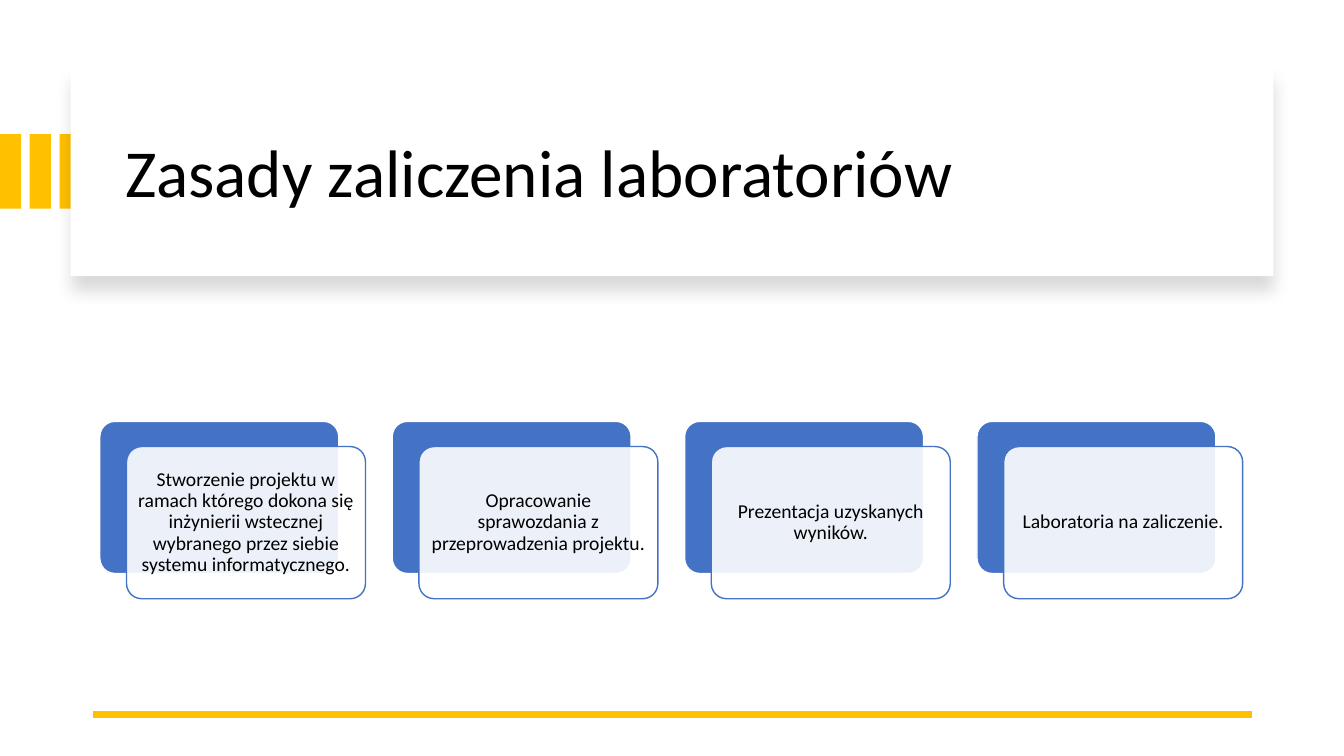
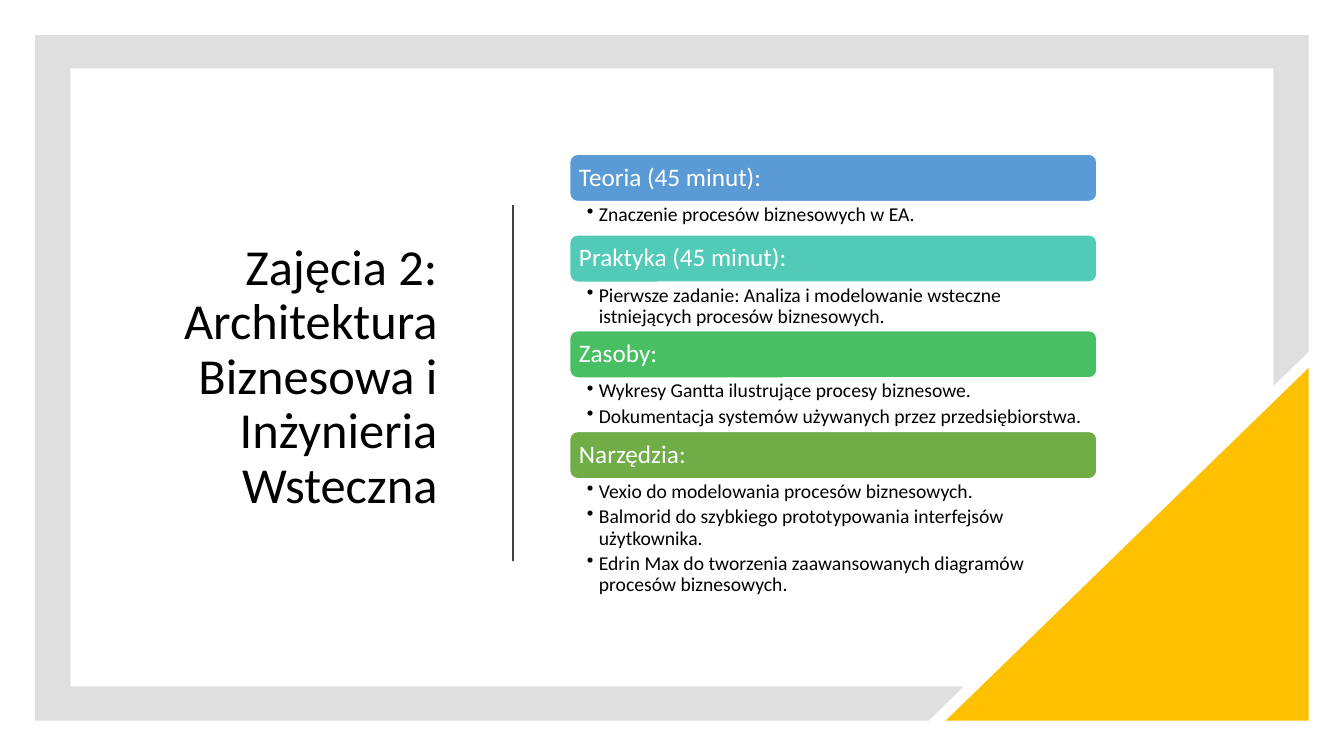
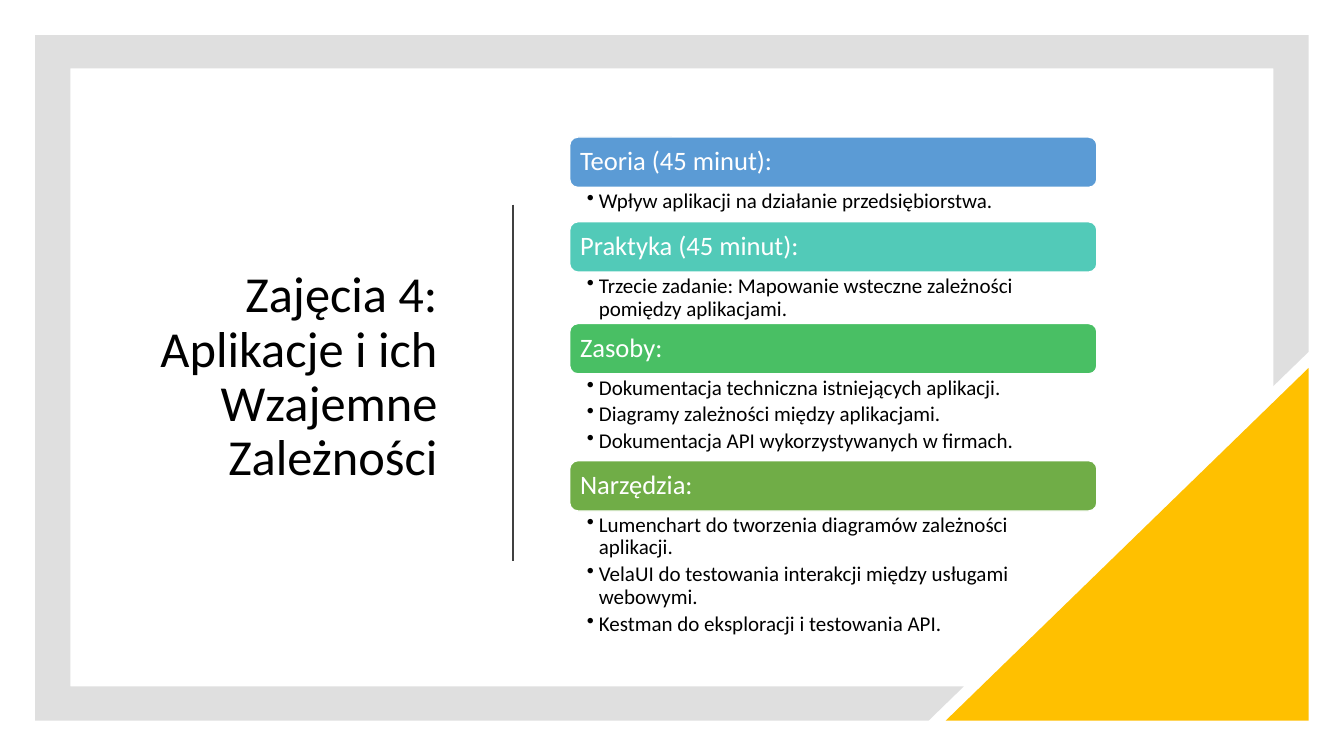
"""Build three course slides: grading rules and two class plans."""
from lxml import etree
from pptx import Presentation
from pptx.dml.color import RGBColor
from pptx.enum import shapes as kinds, text as modes
from pptx.oxml import ns
from pptx.util import Inches, Pt

FONT = "Calibri"
BLACK, WHITE, GOLD, BLUE = "000000", "FFFFFF", "FFC000", "4472C4"
GRAY, DARK = "808080", "404040"
HEADS = ["Teoria (45 minut):", "Praktyka (45 minut):", "Zasoby:", "Narzędzia:"]
TINTS = ["5B9BD5", "52CAB8", "49BF64", "70AD47"]
FRAME = [(0.35, 0.35), (12.98, 0.35), (12.98, 3.49), (12.63, 3.83), (12.63, 0.68),
         (0.7, 0.68), (0.7, 6.81), (9.56, 6.81), (9.21, 7.15), (0.35, 7.15)]
LEFT, RIGHT, MID = modes.PP_ALIGN.LEFT, modes.PP_ALIGN.RIGHT, modes.PP_ALIGN.CENTER
BOX, ROUND = kinds.MSO_SHAPE.RECTANGLE, kinds.MSO_SHAPE.ROUNDED_RECTANGLE

RULES = [
    "Stworzenie projektu w ramach którego dokona się inżynierii wstecznej "
    "wybranego przez siebie systemu informatycznego.",
    "Opracowanie sprawozdania z przeprowadzenia projektu.",
    "Prezentacja uzyskanych wyników.",
    "Laboratoria na zaliczenie.",
]
PLANS = [
    dict(title="Zajęcia 2: Architektura Biznesowa i Inżynieria Wsteczna",
         top=1.53, bar=0.47, sizes=(18, 14), pads=(0.07, 0.14),
         parts=[
             (0.33, ["Znaczenie procesów biznesowych w EA."]),
             (0.48, ["Pierwsze zadanie: Analiza i modelowanie wsteczne "
                     "istniejących procesów biznesowych."]),
             (0.53, ["Wykresy Gantta ilustrujące procesy biznesowe.",
                     "Dokumentacja systemów używanych przez przedsiębiorstwa."]),
             (1.22, ["Vexio do modelowania procesów biznesowych.",
                     "Balmorid do szybkiego prototypowania interfejsów użytkownika.",
                     "Edrin Max do tworzenia zaawansowanych diagramów "
                     "procesów biznesowych."])]),
    dict(title="Zajęcia 4: Aplikacje i ich Wzajemne Zależności",
         top=1.36, bar=0.5, sizes=(19, 15), pads=(0.08, 0.15),
         parts=[
             (0.34, ["Wpływ aplikacji na działanie przedsiębiorstwa."]),
             (0.51, ["Trzecie zadanie: Mapowanie wsteczne zależności "
                     "pomiędzy aplikacjami."]),
             (0.86, ["Dokumentacja techniczna istniejących aplikacji.",
                     "Diagramy zależności między aplikacjami.",
                     "Dokumentacja API wykorzystywanych w firmach."]),
             (1.08, ["Lumenchart do tworzenia diagramów zależności aplikacji.",
                     "VelaUI do testowania interakcji między usługami webowymi.",
                     "Kestman do eksploracji i testowania API."])]),
]


def rgb(code):
    """Turn a hex string into a colour."""
    return RGBColor.from_string(code)


def sub(node, tag, **attrs):
    """Append a drawing element with attributes."""
    return etree.SubElement(node, ns.qn(tag), {k: str(v) for k, v in attrs.items()})


def paint(shape, fill, line=None, alpha=None):
    """Set fill, outline and opacity, and drop the shadow."""
    shape.shadow.inherit = False
    shape.fill.solid()
    shape.fill.fore_color.rgb = rgb(fill)
    if alpha:
        tint = shape._element.spPr.find(".//" + ns.qn("a:srgbClr"))
        sub(tint, "a:alpha", val=alpha * 1000)
    if line:
        shape.line.color.rgb = rgb(line)
        shape.line.width = Pt(1)
    else:
        shape.line.fill.background()


def block(slide, kind, box, fill, line=None, alpha=None, adj=None):
    """Add a painted preset shape."""
    shape = slide.shapes.add_shape(kind, *map(Inches, box))
    paint(shape, fill, line, alpha)
    if adj:
        shape.adjustments[0] = adj
    return shape


def rule(slide, start, end, color, width):
    """Draw a straight line without a shadow."""
    line = slide.shapes.add_connector(kinds.MSO_CONNECTOR.STRAIGHT,
                                      *map(Inches, start + end))
    line.line.color.rgb = rgb(color)
    line.line.width = Pt(width)
    sub(line._element.spPr, "a:effectLst")


def write(shape, lines, size, color=BLACK, align=LEFT, pads=(0.1, 0.05, 0.1, 0.05),
          anchor=modes.MSO_ANCHOR.MIDDLE):
    """Fill a shape with formatted paragraphs."""
    frame = shape.text_frame
    frame.word_wrap = True
    frame.auto_size = modes.MSO_AUTO_SIZE.NONE
    frame.vertical_anchor = anchor
    (frame.margin_left, frame.margin_top,
     frame.margin_right, frame.margin_bottom) = map(Inches, pads)
    frame.text = "\n".join(lines)
    for para in frame.paragraphs:
        para.alignment = align
        para.line_spacing = 0.9
        for run in para.runs:
            run.font.name = FONT
            run.font.size = Pt(size)
            run.font.color.rgb = rgb(color)
    return frame


def name(slide, words, box, size, align):
    """Place the title above the shapes drawn so far."""
    title = slide.shapes.title
    title.left, title.top, title.width, title.height = map(Inches, box)
    title._element.getparent().append(title._element)
    write(title, [words], size, align=align)


def banner(slide, words, box):
    """Draw the raised title panel with its gold stripes."""
    x, y, w, h = box
    for i in range(3):
        block(slide, BOX, (0.295 * i, y + 0.66, 0.21, 0.74), GOLD)
    panel = block(slide, BOX, box, WHITE)
    fx = panel._element.spPr.find(ns.qn("a:effectLst"))
    cast = sub(fx, "a:outerShdw", blurRad=Pt(11), dist=Pt(10), dir=5400000,
               algn="t", rotWithShape=0)
    sub(sub(cast, "a:srgbClr", val=BLACK), "a:alpha", val=15000)
    name(slide, words, (x + 0.44, y + 0.22, w - 0.8, h - 0.37), 48, LEFT)


def card(slide, words, box):
    """Draw a blue plate with a text card shifted over it."""
    x, y, w, h = box
    block(slide, ROUND, box, BLUE, WHITE, adj=0.1)
    front = block(slide, ROUND, (x + 0.265, y + 0.25, w, h), WHITE, BLUE, 90, 0.1)
    write(front, [words], 14, align=MID, pads=[0.06] * 4)


def rules(slide):
    """Compose the slide with the grading rules."""
    banner(slide, "Zasady zaliczenia laboratoriów", (0.7, 0.67, 11.93, 2.07))
    rule(slide, (12.42, 7.09), (0.92, 7.09), GOLD, 4.5)
    for i, words in enumerate(RULES):
        card(slide, words, (0.99 + 2.9 * i, 4.18, 2.37, 1.51))


def border(slide):
    """Draw the gray frame and the gold corner."""
    dots = [tuple(map(Inches, dot)) for dot in FRAME]
    form = slide.shapes.build_freeform(*dots[0])
    form.add_line_segments(dots[1:])
    paint(form.convert_to_shape(), GRAY, alpha=25)
    corner = block(slide, kinds.MSO_SHAPE.RIGHT_TRIANGLE, (9.38, 3.65, 3.6, 3.5), GOLD)
    corner._element.spPr.get_or_add_xfrm().set("flipH", "1")


def points(slide, lines, box, size, pad):
    """Add a bulleted list."""
    area = slide.shapes.add_textbox(*map(Inches, box))
    frame = write(area, lines, size, pads=(0.17, 0.03, pad, 0.03),
                  anchor=modes.MSO_ANCHOR.TOP)
    for para in frame.paragraphs:
        para.space_after = Pt(size * 0.2)
        props = para._p.get_or_add_pPr()
        props.set("marL", str(Inches(0.12)))
        props.set("indent", str(-Inches(0.12)))
        sub(props, "a:buChar", char="•")


def agenda(slide, plan, x, w):
    """Stack the coloured headings and their lists."""
    y, bar = plan["top"], plan["bar"]
    big, small = plan["sizes"]
    pad, edge = plan["pads"]
    for head, tint, (h, lines) in zip(HEADS, TINTS, plan["parts"]):
        strip = block(slide, ROUND, (x, y, w, bar), tint, WHITE)
        write(strip, [head], big, WHITE, pads=[pad] * 4)
        points(slide, lines, (x, y + bar, w, h), small, edge)
        y += bar + h


def lesson(slide, plan):
    """Compose a slide with the plan of one class."""
    border(slide)
    name(slide, plan["title"], (1.1, 1.3, 3.34, 4.9), 36, RIGHT)
    rule(slide, (5.09, 2.03), (5.09, 5.57), DARK, 1.5)
    agenda(slide, plan, 5.65, 5.23)


def main():
    """Build and save the deck."""
    deck = Presentation()
    deck.slide_width, deck.slide_height = Inches(13.33), Inches(7.5)
    plain = deck.slide_layouts[5]
    rules(deck.slides.add_slide(plain))
    for plan in PLANS:
        lesson(deck.slides.add_slide(plain), plan)
    deck.save("out.pptx")


if __name__ == "__main__":
    main()
